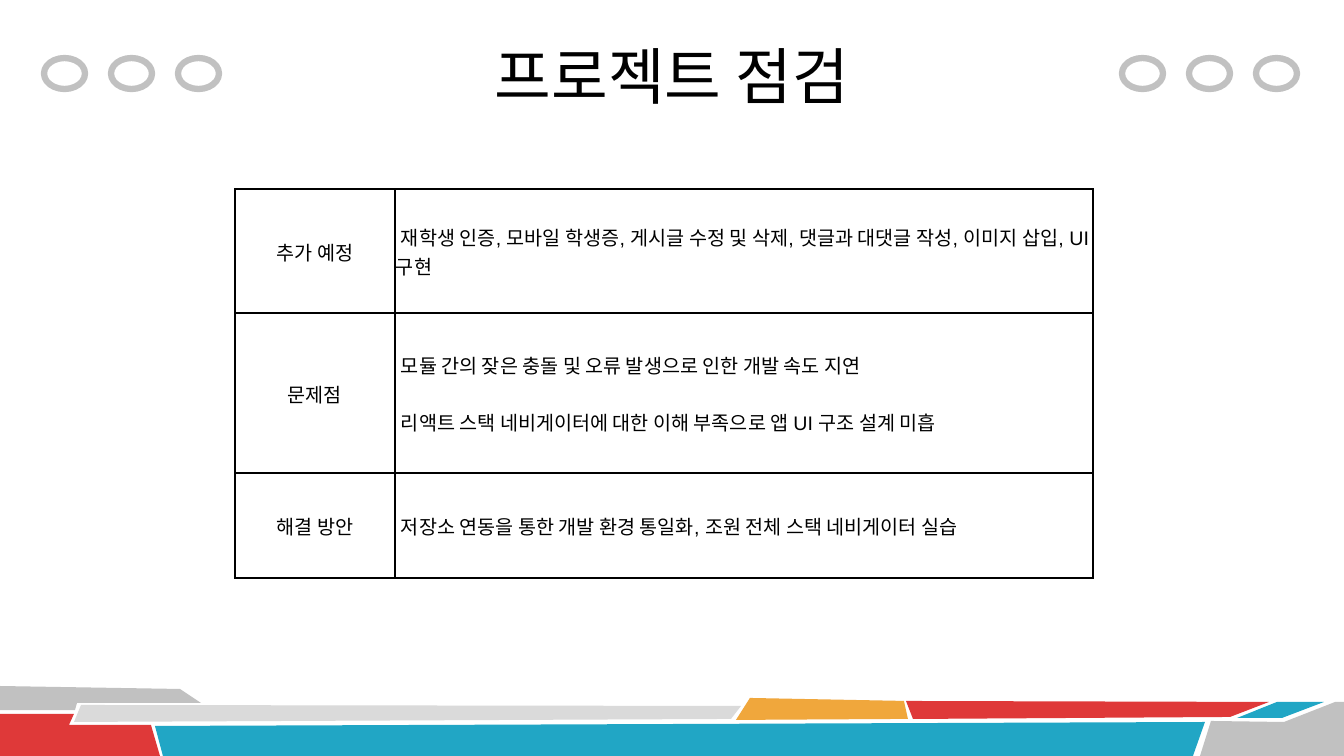
from lxml import etree
from pptx import Presentation
from pptx.dml.color import RGBColor
from pptx.enum.shapes import MSO_SHAPE
from pptx.enum.text import MSO_ANCHOR, PP_ALIGN
from pptx.oxml.ns import qn
from pptx.util import Pt

OVAL = MSO_SHAPE.OVAL
MIDDLE = MSO_ANCHOR.MIDDLE
LEFT, CENTER = PP_ALIGN.LEFT, PP_ALIGN.CENTER
SCALE = 914400 / 100.8
COLORS = {
    "ink": "000000", "gray": "C1C1C1", "pale": "DADADA", "red": "DF3939",
    "blue": "21A6C5", "gold": "F0A73C",
}

# Bands along the bottom edge, back to front
BANDS = [
    ("gray", [(0, 686), (180, 689), (201, 703), (77, 703), (75, 710), (0, 710)]),
    ("red", [(0, 714), (74, 714), (69, 725), (151, 725), (160, 756), (0, 756)]),
    ("pale", [(81, 705), (741, 706), (731, 719), (74, 722)]),
    ("blue", [(155, 726), (1205, 722), (1193, 756), (163, 756)]),
    ("gold", [(750, 698), (904, 701), (908, 719), (736, 720)]),
    ("red", [(906, 701), (1269, 702), (1230, 717), (913, 719)]),
    ("blue", [(1277, 702), (1324, 702), (1282, 718), (1237, 718)]),
    ("gray", [(1211, 721), (1284, 722), (1335, 702), (1344, 702),
              (1344, 756), (1200, 756)]),
]

ROWS = [
    (124, "추가 예정",
     ["재학생 인증, 모바일 학생증, 게시글 수정 및 삭제, 댓글과 대댓글 작성, 이미지 삽입, UI 구현"]),
    (160, "문제점",
     ["모듈 간의 잦은 충돌 및 오류 발생으로 인한 개발 속도 지연",
      "리액트 스택 네비게이터에 대한 이해 부족으로 앱 UI 구조 설계 미흡"]),
    (105, "해결 방안",
     ["저장소 연동을 통한 개발 환경 통일화, 조원 전체 스택 네비게이터 실습"]),
]


def px(n):
    return round(n * SCALE)


def rgb(name):
    return RGBColor.from_string(COLORS[name])


def write(frame, lines, size=14, font="Arial", color="ink", align=LEFT,
          indent=0, gap=0):
    frame.word_wrap = True
    for i, line in enumerate(lines):
        para = frame.add_paragraph() if i else frame.paragraphs[0]
        para.alignment = align
        if i:
            para.space_before = Pt(gap)
        if indent:
            para._p.get_or_add_pPr().set("indent", str(px(indent)))
        run = para.add_run()
        run.text = line
        run.font.size = Pt(size)
        run.font.name = font
        run.font.color.rgb = rgb(color)


def add_band(slide, color, points):
    pen = slide.shapes.build_freeform(*points[0], scale=SCALE)
    pen.add_line_segments(points[1:], close=True)
    band = pen.convert_to_shape()
    band.shadow.inherit = False
    band.fill.solid()
    band.fill.fore_color.rgb = rgb(color)
    band.line.fill.background()


def add_rings(slide, left):
    for i in range(3):
        ring = slide.shapes.add_shape(
            OVAL, px(left + 67 * i), px(58), px(41), px(31))
        ring.shadow.inherit = False
        ring.fill.background()
        ring.line.color.rgb = rgb("gray")
        ring.line.width = Pt(4.5)


def add_title(slide, text):
    box = slide.shapes.add_textbox(px(235), px(12), px(874), px(126))
    box.text_frame.vertical_anchor = MIDDLE
    write(box.text_frame, [text], size=44, font="Cabin", align=CENTER)


def style_cell(cell):
    cell.vertical_anchor = MIDDLE
    cell.margin_left = cell.margin_right = cell.margin_top = px(1)
    cell.margin_bottom = 0
    # Borders come before the fill in the cell properties
    props = cell._tc.get_or_add_tcPr()
    for side in ("a:lnL", "a:lnR", "a:lnT", "a:lnB"):
        line = etree.SubElement(props, qn(side), w=str(Pt(1)))
        fill = etree.SubElement(line, qn("a:solidFill"))
        etree.SubElement(fill, qn("a:srgbClr"), val=COLORS["ink"])
    cell.fill.background()


def add_grid(slide, rows):
    widths = (160, 698)
    heights = [row[0] for row in rows]
    table = slide.shapes.add_table(
        len(rows), len(widths), px(235), px(189),
        px(sum(widths)), px(sum(heights))).table
    table.first_row = table.horz_banding = False
    for col, width in zip(table.columns, widths):
        col.width = px(width)
    for i, (height, label, lines) in enumerate(rows):
        table.rows[i].height = px(height)
        head, body = table.cell(i, 0), table.cell(i, 1)
        style_cell(head)
        style_cell(body)
        write(head.text_frame, [label], align=CENTER)
        write(body.text_frame, lines, indent=5, gap=20)


def main():
    deck = Presentation()
    deck.slide_width, deck.slide_height = px(1344), px(756)
    slide = deck.slides.add_slide(deck.slide_layouts[6])

    # Decoration
    for color, points in BANDS:
        add_band(slide, color, points)
    for left in (44, 1122):
        add_rings(slide, left)

    # Content
    add_title(slide, "프로젝트 점검")
    add_grid(slide, ROWS)
    deck.save("out.pptx")


if __name__ == "__main__":
    main()
